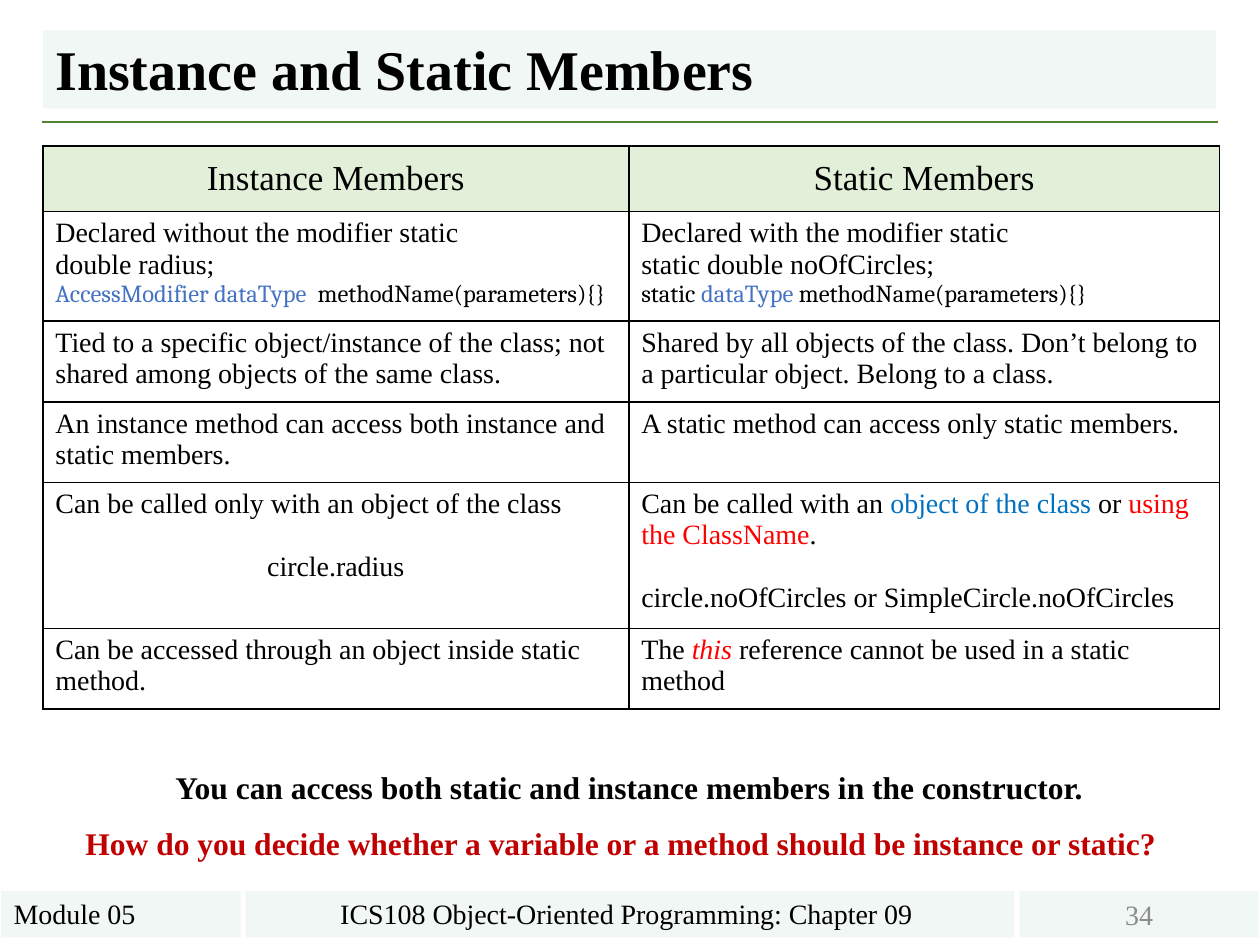
import pptx
import pptx.util
import pptx.dml.color
import pptx.enum.shapes
import pptx.enum.text
import pptx.oxml
import pptx.oxml.ns

Inches = pptx.util.Inches
Pt = pptx.util.Pt
RGBColor = pptx.dml.color.RGBColor
ALIGN = pptx.enum.text.PP_ALIGN
ANCHOR = pptx.enum.text.MSO_ANCHOR
SHAPE = pptx.enum.shapes.MSO_SHAPE
LINE = pptx.enum.shapes.MSO_CONNECTOR.STRAIGHT

BLACK = RGBColor(0x00, 0x00, 0x00)
GRAY = RGBColor(0x8C, 0x8C, 0x8C)
PALE = RGBColor(0xF1, 0xF7, 0xF4)
MINT = RGBColor(0xE2, 0xF0, 0xD9)
GREEN = RGBColor(0x54, 0x82, 0x35)
INDIGO = RGBColor(0x44, 0x72, 0xC4)
BLUE = RGBColor(0x00, 0x70, 0xC0)
RED = RGBColor(0xFF, 0x00, 0x00)
CRIMSON = RGBColor(0xC0, 0x00, 0x00)
SERIF = "Times New Roman"
CODE = "Cambria"


def add_run(para, text, size=16, color=BLACK, bold=False, face=SERIF, italic=False):
    run = para.add_run()
    run.text = text
    font = run.font
    font.name, font.size = face, Pt(size)
    font.bold, font.italic = bold, italic
    font.color.rgb = color


def add_text(box, text, size, color, bold, align, anchor):
    frame = box.text_frame
    frame.word_wrap = True
    frame.vertical_anchor = anchor
    para = frame.paragraphs[0]
    para.alignment = align
    add_run(para, text, size, color, bold)
    return para


deck = pptx.Presentation()
deck.slide_width, deck.slide_height = Inches(10), Inches(7.5)
slide = deck.slides.add_slide(deck.slide_layouts[6])
shapes = slide.shapes

rule = shapes.add_connector(LINE, Inches(0.33), Inches(0.97), Inches(9.67), Inches(0.97))
rule.line.color.rgb = GREEN
rule.line.width = Pt(1.5)
rule._element.spPr.append(pptx.oxml.parse_xml("<a:effectLst %s/>" % pptx.oxml.ns.nsdecls("a")))

bars = [
    (0.34, 0.24, 9.31, 0.62, "Instance and Static Members", 32, BLACK, True, ALIGN.LEFT, ANCHOR.BOTTOM),
    (0.01, 7.07, 1.9, 0.37, "Module 05", 16, BLACK, False, ALIGN.LEFT, ANCHOR.TOP),
    (1.95, 7.07, 6.1, 0.37, "ICS108 Object-Oriented Programming: Chapter 09 ", 16, BLACK, False,
     ALIGN.CENTER, ANCHOR.TOP),
    (8.09, 7.07, 1.9, 0.37, "34", 16, GRAY, False, ALIGN.CENTER, ANCHOR.MIDDLE),
]
for left, top, width, height, text, size, color, bold, align, anchor in bars:
    bar = shapes.add_shape(SHAPE.RECTANGLE, Inches(left), Inches(top), Inches(width), Inches(height))
    bar.shadow.inherit = False
    bar.fill.solid()
    bar.fill.fore_color.rgb = PALE
    bar.line.fill.background()
    para = add_text(bar, text, size, color, bold, align, anchor)
    if size == 32:
        para.line_spacing = 0.9

code = {"size": 14, "face": CODE}
blue = {"color": BLUE}
red = {"color": RED}
kind = {**code, "color": INDIGO}
L, C = ALIGN.LEFT, ALIGN.CENTER
head = {"size": 20}
rows = [
    (0.52, [[(C, 0, [("Instance Members", head)])],
            [(C, 0, [("Static Members", head)])]]),
    (0.87, [[(L, 0, [("Declared without the modifier static", {})]),
             (L, 0, [("double radius;", {})]),
             (L, 0, [("AccessModifier dataType  ", kind), ("methodName(parameters){}", code)])],
            [(L, 0, [("Declared with the modifier static", {})]),
             (L, 0, [("static double noOfCircles;", {})]),
             (L, 0, [("static ", code), ("dataType ", kind), ("methodName(parameters){}", code)])]]),
    (0.64, [[(L, 0, [("Tied to a specific object/instance of the class; not shared among "
                      "objects of the same class.", {})])],
            [(L, 0, [("Shared by all objects of the class. Don’t belong to a particular object. "
                      "Belong to a class.", {})])]]),
    (0.64, [[(L, 0, [("An instance method can access both instance and static members.", {})])],
            [(L, 0, [("A static method can access only static members.", {})])]]),
    (1.16, [[(L, 0, [("Can be called only with an object of the class", {})]),
             (C, 18, [("circle.radius", {})])],
            [(L, 0, [("Can be called with an ", {}), ("object of the class ", blue), ("or ", {}),
                     ("using the ClassName", red), (".", {})]),
             (L, 18, [("circle.noOfCircles or SimpleCircle.noOfCircles", {})])]]),
    (0.64, [[(L, 0, [("Can be accessed through an object inside static method.", {})])],
            [(L, 0, [("The ", {}), ("this", {**red, "italic": True}),
                     (" reference cannot be used in a static method", {})])]]),
]
total = sum(row[0] for row in rows)
table = shapes.add_table(len(rows), 2, Inches(0.34), Inches(1.16), Inches(9.34), Inches(total)).table
table.first_row = table.horz_banding = False
table.columns[0].width, table.columns[1].width = Inches(4.65), Inches(4.69)
edge = ('<a:%s %s w="12700"><a:solidFill><a:srgbClr val="000000"/></a:solidFill></a:%s>')
for r, (height, cells) in enumerate(rows):
    table.rows[r].height = Inches(height)
    for c, paras in enumerate(cells):
        cell = table.cell(r, c)
        props = cell._tc.get_or_add_tcPr()
        for side in ("lnL", "lnR", "lnT", "lnB"):
            props.append(pptx.oxml.parse_xml(edge % (side, pptx.oxml.ns.nsdecls("a"), side)))
        if r == 0:
            cell.fill.solid()
            cell.fill.fore_color.rgb = MINT
            cell.vertical_anchor = ANCHOR.MIDDLE
        else:
            cell.fill.background()
        frame = cell.text_frame
        for n, (align, gap, runs) in enumerate(paras):
            para = frame.add_paragraph() if n else frame.paragraphs[0]
            para.alignment = align
            if gap:
                para.space_before = Pt(gap)
            for text, style in runs:
                add_run(para, text, **style)

notes = [
    (0.34, 6.05, 9.31, "You can access both static and instance members in the constructor.", BLACK),
    (0.23, 6.49, 9.46, "How do you decide whether a variable or a method should be instance or static? ",
     CRIMSON),
]
for left, top, width, text, color in notes:
    box = shapes.add_textbox(Inches(left), Inches(top), Inches(width), Inches(0.4))
    add_text(box, text, 18, color, True, C, ANCHOR.TOP)

deck.save("out.pptx")
